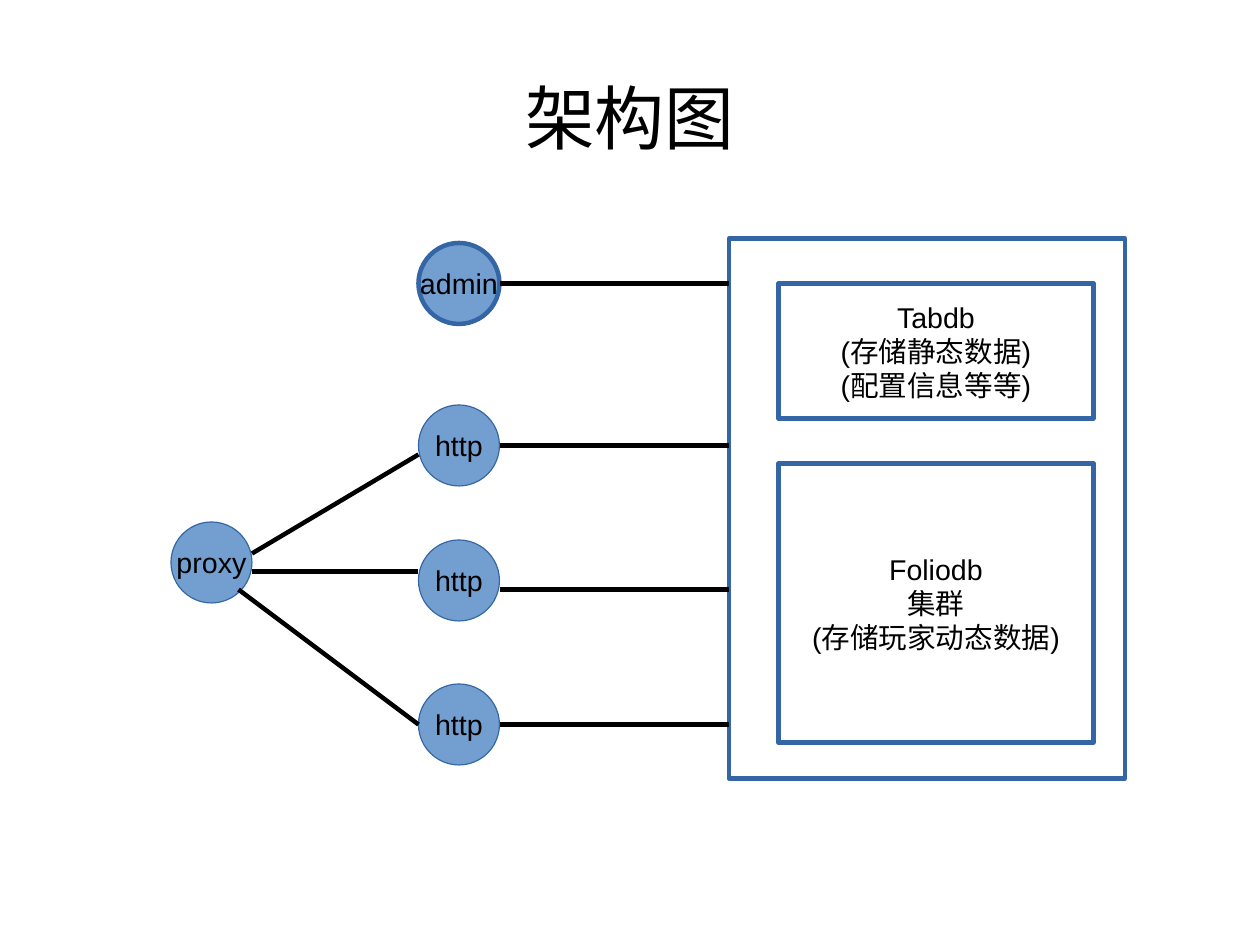
from pptx import Presentation
from pptx.dml.color import RGBColor
from pptx.enum.shapes import MSO_CONNECTOR, MSO_SHAPE
from pptx.enum.text import MSO_ANCHOR, MSO_AUTO_SIZE, PP_ALIGN
from pptx.oxml.ns import qn
from pptx.util import Cm, Pt
from lxml.etree import SubElement

# Content: all lengths are cells of a 28 by 21 grid, one cell per centimetre
COLUMNS, ROWS = 28, 21
COLORS = {"node": "729FCF", "edge": "3465A4", "ink": "000000", "paper": "FFFFFF"}
FONT = "Arial"
THICK, HAIRLINE = 2.83, 0
TITLE = "架构图"

DIAMETER = 1.8
PROXY_LEFT, SERVER_LEFT = 3.8, 9.3
NODES = [  # label, left, top, outline width
    ("proxy", PROXY_LEFT, 11.6, HAIRLINE),
    ("http", SERVER_LEFT, 9, HAIRLINE),
    ("http", SERVER_LEFT, 12, HAIRLINE),
    ("http", SERVER_LEFT, 15.2, HAIRLINE),
    ("admin", SERVER_LEFT, 5.4, THICK),
]

STORAGE = (16.2, 5.3, 8.8, 12)
STORE_LEFT, STORE_WIDTH = 17.3, 7
STORES = [  # text, top, height
    ("Foliodb\n集群\n(存储玩家动态数据)", 10.3, 6.2),
    ("Tabdb\n(存储静态数据)\n(配置信息等等)", 6.3, 3),
]

STORAGE_LINK_ROWS = [6.3, 9.9, 13.1, 16.1]
PROXY_LINKS = [  # start x, start y, end y
    (PROXY_LEFT + DIAMETER, 12.3, 10.1),
    (PROXY_LEFT + DIAMETER, 12.7, 12.7),
    (5.3, 13.1, 16.1),
]


def color(name):
    return RGBColor.from_string(COLORS[name])


def write(frame, text, size, margins=(0, 0)):
    frame.text = text
    frame.auto_size = MSO_AUTO_SIZE.NONE
    frame.vertical_anchor = MSO_ANCHOR.MIDDLE
    frame.margin_left = frame.margin_right = Cm(margins[0])
    frame.margin_top = frame.margin_bottom = Cm(margins[1])
    for para in frame.paragraphs:
        para.alignment = PP_ALIGN.CENTER
        for span in para.runs:
            span.font.name = FONT
            span.font.size = Pt(size)
            span.font.color.rgb = color("ink")


def add_box(page, kind, area, fill=None, width=THICK, text=""):
    box = page.shapes.add_shape(kind, *map(Cm, area))
    box.shadow.inherit = False
    if fill:
        box.fill.solid()
        box.fill.fore_color.rgb = color(fill)
    else:
        box.fill.background()
    box.line.color.rgb = color("edge")
    box.line.width = Pt(width)
    if text:
        write(box.text_frame, text, 18, (0.3, 0.18))
        box.text_frame.word_wrap = False


def add_link(page, start_x, start_y, end_x, end_y):
    ends = map(Cm, (start_x, start_y, end_x, end_y))
    link = page.shapes.add_connector(MSO_CONNECTOR.STRAIGHT, *ends)
    link.line.color.rgb = color("ink")
    link.line.width = Pt(THICK)
    SubElement(link._element.spPr, qn("a:effectLst"))


def main():
    deck = Presentation()
    deck.slide_width, deck.slide_height = Cm(COLUMNS), Cm(ROWS)
    page = deck.slides.add_slide(deck.slide_layouts[5])

    # Title
    title = page.shapes.title
    title.left, title.top = Cm(COLUMNS * 0.05), Cm(ROWS * 0.04)
    title.width, title.height = Cm(COLUMNS * 0.9), Cm(ROWS / 6)
    write(title.text_frame, TITLE, 44)

    # Servers
    for label, left, top, width in NODES:
        area = (left, top, DIAMETER, DIAMETER)
        add_box(page, MSO_SHAPE.OVAL, area, "node", width, label)

    # Storage frame and its databases
    add_box(page, MSO_SHAPE.RECTANGLE, STORAGE)
    for text, top, height in STORES:
        area = (STORE_LEFT, top, STORE_WIDTH, height)
        add_box(page, MSO_SHAPE.RECTANGLE, area, "paper", text=text)

    # Links from servers to storage, then from the proxy to servers
    for row in STORAGE_LINK_ROWS:
        add_link(page, SERVER_LEFT + DIAMETER, row, STORAGE[0], row)
    for start_x, start_y, end_y in PROXY_LINKS:
        add_link(page, start_x, start_y, SERVER_LEFT, end_y)

    deck.save("out.pptx")


if __name__ == "__main__":
    main()
